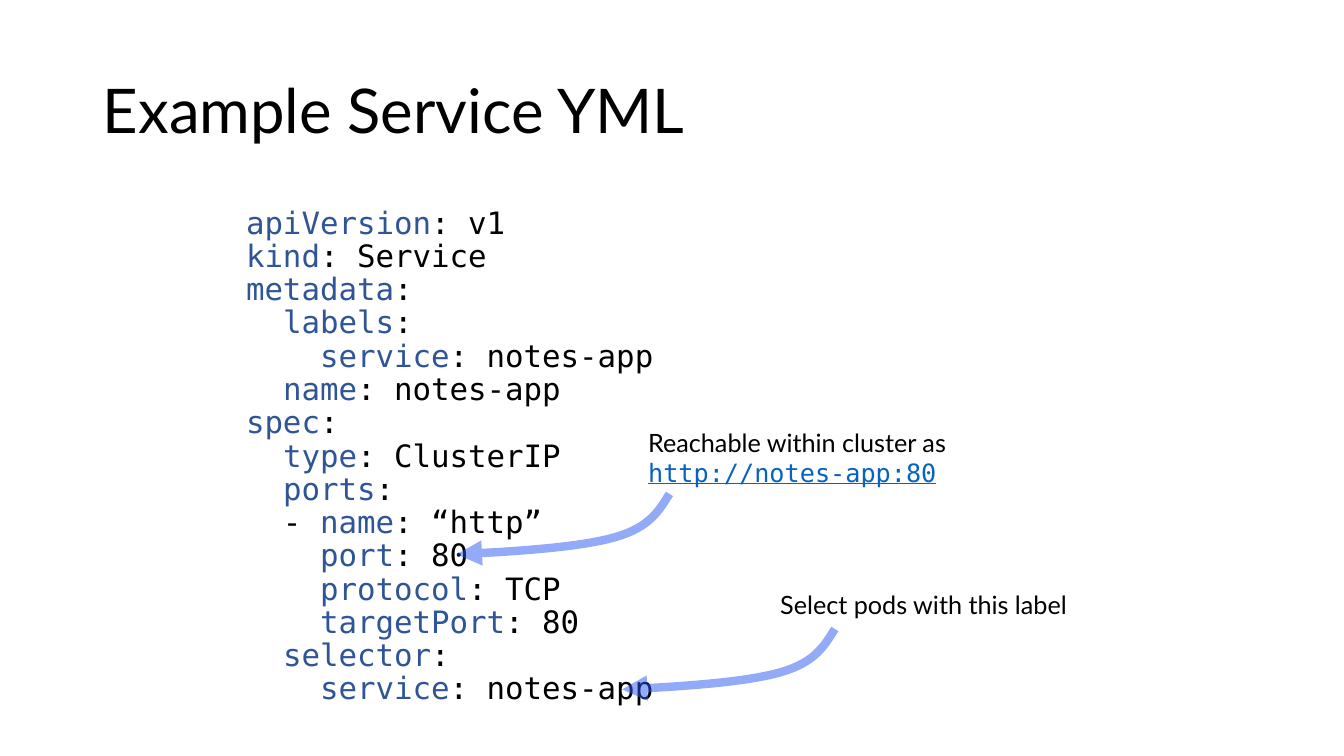
from lxml.etree import SubElement
from pptx import Presentation
from pptx.dml.color import RGBColor
from pptx.enum.text import MSO_ANCHOR, MSO_AUTO_SIZE, PP_ALIGN
from pptx.oxml.ns import qn
from pptx.util import Inches, Pt

COLORS = {"text": "000000", "key": "2F5597", "link": "0563C1", "arrow": "2956F3"}
SANS, MONO = "Lato", "DejaVu Sans Mono"

SERVICE_YML = """apiVersion: v1
kind: Service
metadata:
  labels:
    service: notes-app
  name: notes-app
spec:
  type: ClusterIP
  ports:
  - name: “http”
    port: 80
    protocol: TCP
    targetPort: 80
  selector:
    service: notes-app"""

CURVES = [
    [(0, 0), (-0.1, 0.16), (-0.19, 0.33), (-0.54, 0.43)],
    [(-0.54, 0.43), (-0.89, 0.53), (-1.5, 0.57), (-2.11, 0.6)],
]


def place(s, left, top, width, height):
    """Set the position and size of a shape in inches."""
    s.left, s.top = Inches(left), Inches(top)
    s.width, s.height = Inches(width), Inches(height)


def add_run(p, text, size, font=SANS, color="text", underline=None):
    """Add one formatted run to a paragraph."""
    r = p.add_run()
    r.text = text
    r.font.size = Pt(size)
    r.font.name = font
    r.font.underline = underline
    r.font.color.rgb = RGBColor.from_string(COLORS[color])


def add_break(p, size):
    """Add a line break that has the given text size."""
    p.add_line_break()
    br = p._p.findall(qn("a:br"))[-1]
    props = SubElement(br, qn("a:rPr"), sz=str(size * 100))
    SubElement(props, qn("a:latin"), typeface=SANS)


def fill_title(s, text):
    """Fill and format the title placeholder."""
    place(s, 0.92, 0.4, 11.5, 1.45)
    tf = s.text_frame
    tf.auto_size = MSO_AUTO_SIZE.NONE
    tf.vertical_anchor = MSO_ANCHOR.MIDDLE
    p = tf.paragraphs[0]
    p.alignment = PP_ALIGN.LEFT
    p.line_spacing = 0.9
    add_run(p, text, 44)


def fill_code(s, code, size=22):
    """Fill the body placeholder with YAML whose keys are coloured."""
    place(s, 2.34, 2.01, 6.23, 5.04)
    tf = s.text_frame
    tf.auto_size = MSO_AUTO_SIZE.NONE
    tf.vertical_anchor = MSO_ANCHOR.TOP
    p = tf.paragraphs[0]
    props = p._p.get_or_add_pPr()
    props.set("marL", "0")
    props.set("indent", "0")
    SubElement(props, qn("a:buNone"))
    p.line_spacing = 0.9
    p.space_before = Pt(0)
    for i, line in enumerate(code.split("\n")):
        if i:
            add_break(p, size)
        label, colon, value = line.partition(":")
        key = label.lstrip(" -")
        lead = label[:len(label) - len(key)]
        if lead:
            add_run(p, lead, size, MONO)
        add_run(p, key, size, MONO, "key")
        add_run(p, colon + value, size, MONO)


def add_note(slide, left, top, width, height, text, link=None):
    """Add a note, with an address below it if one is given."""
    s = slide.shapes.add_textbox(0, 0, 0, 0)
    place(s, left, top, width, height)
    s.text_frame.word_wrap = True
    p = s.text_frame.paragraphs[0]
    add_run(p, text, 18)
    if link:
        add_break(p, 18)
        add_run(p, link, 18, MONO, "link", True)


def bezier(points, t):
    """Return the point at t on a cubic curve."""
    weights = [(1 - t) ** 3, 3 * t * (1 - t) ** 2, 3 * t ** 2 * (1 - t), t ** 3]
    return tuple(sum(w * q[i] for w, q in zip(weights, points)) for i in (0, 1))


def add_arrow(slide, x, y, steps=16):
    """Add a translucent curved arrow that starts at x, y."""
    points = [bezier(c, n / steps) for c in CURVES for n in range(1, steps + 1)]
    builder = slide.shapes.build_freeform(Inches(x), Inches(y))
    builder.add_line_segments(
        [(Inches(x + dx), Inches(y + dy)) for dx, dy in points], close=False)
    s = builder.convert_to_shape()
    s.shadow.inherit = False
    s.fill.background()
    s.line.width = Pt(6)
    s.line.color.rgb = RGBColor.from_string(COLORS["arrow"])
    ln = s.line._get_or_add_ln()
    SubElement(ln.find(".//" + qn("a:srgbClr")), qn("a:alpha"), val="50000")
    SubElement(ln, qn("a:round"))
    SubElement(ln, qn("a:tailEnd"), type="triangle")


def main():
    """Build and save the slide."""
    prs = Presentation()
    prs.slide_width, prs.slide_height = Inches(13.33), Inches(7.5)
    slide = prs.slides.add_slide(prs.slide_layouts[1])
    fill_title(slide.shapes.title, "Example Service YML")
    fill_code(slide.placeholders[1], SERVICE_YML)
    add_note(slide, 6.33, 4.19, 3.56, 0.71,
             "Reachable within cluster as", "http://notes-app:80")
    add_arrow(slide, 6.64, 4.9)
    add_arrow(slide, 8.28, 6.24)
    add_note(slide, 7.64, 5.8, 3.43, 0.4, "Select pods with this label")
    prs.save("out.pptx")


if __name__ == "__main__":
    main()
